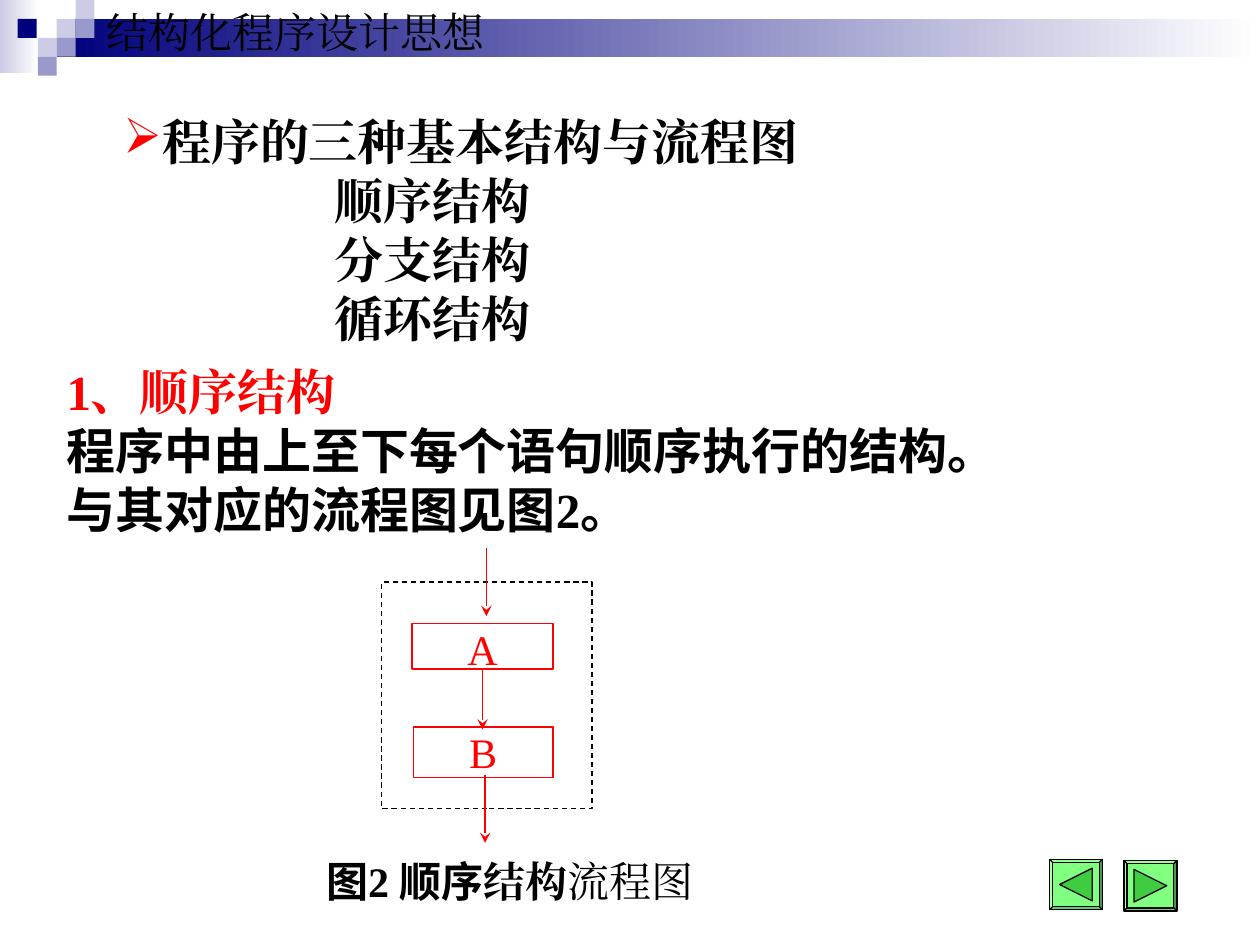
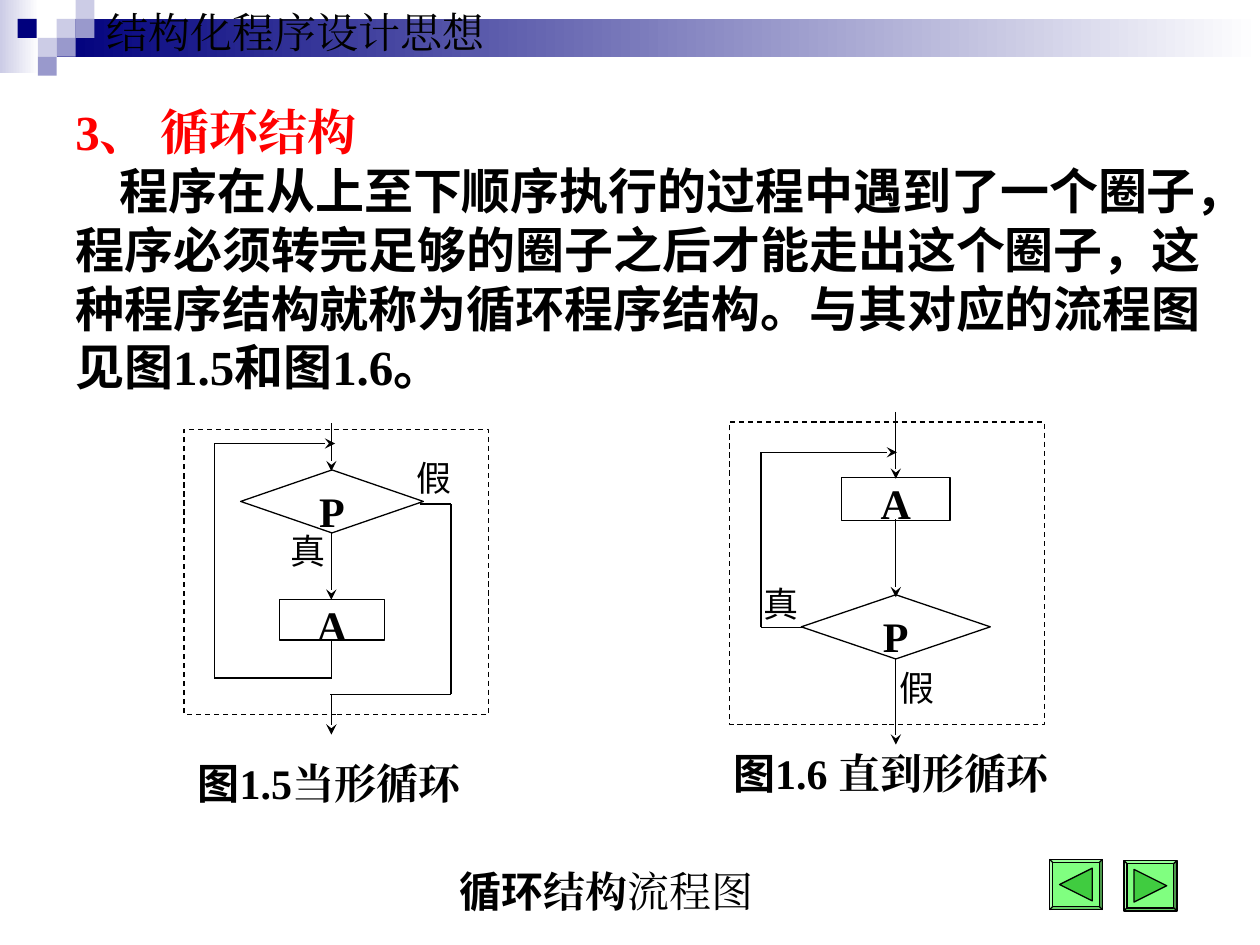
from lxml import etree
from pptx import Presentation
from pptx import util as u
from pptx.dml import color as dml
from pptx.enum import dml as dash, shapes, text
from pptx.oxml import ns

COLORS = {
    "black": "000000", "white": "FFFFFF", "red": "FF0000", "navy": "00007D",
    "lilac": "CCCCE6", "violet": "9999CC", "button": "80FF80", "triangle": "40CC40",
}
RGB = {name: dml.RGBColor.from_string(value) for name, value in COLORS.items()}
TIMES, NOTO = "Times New Roman", "Noto Sans CJK SC"
LINE_HEIGHT = 1.2
PRESET = shapes.MSO_SHAPE


def add_shape(slide, kind, box, fill, line=None):
    shape = slide.shapes.add_shape(kind, *map(u.Inches, box))
    shape.shadow.inherit = False
    if isinstance(fill, tuple):
        shape.fill.gradient()
        shape.fill.gradient_angle = 0
        for stop, name in zip(shape.fill.gradient_stops, fill):
            stop.color.rgb = RGB[name]
    else:
        shape.fill.solid()
        shape.fill.fore_color.rgb = RGB[fill]
    if line:
        shape.line.color.rgb = RGB[line]
        shape.line.width = u.Pt(0.75)
    else:
        shape.line.fill.background()
    return shape


def write(shape, paragraphs, size, inset=(0.1, 0.05), align=None):
    frame = shape.text_frame
    frame.word_wrap = True
    frame.vertical_anchor = text.MSO_ANCHOR.TOP
    frame.margin_left = frame.margin_right = u.Inches(inset[0])
    frame.margin_top = frame.margin_bottom = u.Inches(inset[1])
    for index, (color, bold, margin, indent, bullet, runs) in enumerate(paragraphs):
        paragraph = frame.add_paragraph() if index else frame.paragraphs[0]
        properties = paragraph._p.get_or_add_pPr()
        properties.set("marL", str(u.Inches(margin)))
        properties.set("indent", str(u.Inches(indent)))
        if bullet:
            bullet_color = etree.SubElement(properties, ns.qn("a:buClr"))
            etree.SubElement(bullet_color, ns.qn("a:srgbClr"), val=COLORS["red"])
            etree.SubElement(properties, ns.qn("a:buChar"), char=bullet)
        paragraph.line_spacing = u.Pt(size * LINE_HEIGHT)
        paragraph.alignment = align
        for words, font_name, *weight in runs:
            run = paragraph.add_run()
            run.text = words
            run.font.size = u.Pt(size)
            run.font.bold = weight[0] if weight else bold
            run.font.color.rgb = RGB[color]
            run.font.name = font_name
            etree.SubElement(run._r.get_or_add_rPr(), ns.qn("a:ea"), typeface=font_name)


def_plain = ("black", False, 0, 0, None)
def_bold = ("black", True, 0, 0, None)
red_heading = ("red", True, 0, 0, None)

SQUARE = 0.15
SQUARES = [
    (0.45, 0.15, "lilac"), (0.6, 0, "lilac"), (0.6, 0.15, "violet"), (0.3, 0.3, "lilac"),
    (0.14, 0.15, "navy"), (0.45, 0.3, "violet"), (0.3, 0.45, "violet"),
]
BUTTONS = [(8.92, 6.83, 90), (8.33, 6.82, 270)]

SEQUENCE = {
    "color": "red",
    "bold": False,
    "frames": [(3.03, 4.62, 1.67, 1.8)],
    "nodes": [
        ("A", PRESET.RECTANGLE, (3.27, 4.95, 1.12, 0.36)),
        ("B", PRESET.RECTANGLE, (3.28, 5.77, 1.11, 0.4)),
    ],
    "arrows": [(3.86, 4.35, 3.86, 4.89), (3.83, 5.31, 3.83, 5.79), (3.85, 6.15, 3.85, 6.69)],
    "lines": [],
    "texts": [
        ((0.59, 0.84, 7.95, 1.97), 28, [
            ("black", True, 0.59, -0.3, "➢", [("程序的三种基本结构与流程图", TIMES)]),
            *[("black", True, 1.97, 0, None, [(name, TIMES)])
              for name in ("顺序结构", "分支结构", "循环结构")],
        ]),
        ((0.43, 2.82, 9.5, 1.5), 28, [
            (*red_heading, [("1、顺序结构", TIMES)]),
            (*def_bold, [("程序中由上至下每个语句顺序执行的结构。", NOTO)]),
            (*def_bold, [("与其对应的流程图见图", NOTO), ("2", TIMES), ("。", NOTO)]),
        ]),
        ((2.49, 6.74, 3.6, 0.5), 24, [
            (*def_bold, [("图", NOTO), ("2 ", TIMES), ("顺序", NOTO), ("结构", TIMES),
                         ("流程图", TIMES, False)]),
        ]),
    ],
}

LOOPS = {
    "color": "black",
    "bold": True,
    "frames": [(1.46, 3.41, 2.42, 2.26), (5.79, 3.35, 2.5, 2.4)],
    "nodes": [
        ("P", PRESET.FLOWCHART_DECISION, (1.91, 3.73, 1.45, 0.5)),
        ("A", PRESET.RECTANGLE, (2.22, 4.76, 0.83, 0.32)),
        ("A", PRESET.RECTANGLE, (6.68, 3.79, 0.86, 0.34)),
        ("P", PRESET.FLOWCHART_DECISION, (6.36, 4.72, 1.5, 0.51)),
    ],
    "arrows": [
        (2.63, 3.36, 2.63, 3.74), (2.63, 4.23, 2.63, 4.76), (1.7, 3.52, 2.66, 3.52),
        (2.63, 5.51, 2.63, 5.83), (7.11, 3.27, 7.11, 3.8), (7.11, 4.12, 7.11, 4.74),
        (7.11, 5.23, 7.11, 5.91), (6.04, 3.59, 7.12, 3.59),
    ],
    "lines": [
        (2.63, 5.07, 2.63, 5.39), (2.63, 5.38, 1.7, 5.38), (1.7, 5.38, 1.7, 3.52),
        (3.33, 4, 3.58, 4), (3.58, 4, 3.58, 5.51), (3.58, 5.51, 2.62, 5.51),
        (6.38, 4.98, 6.04, 4.98), (6.04, 4.98, 6.04, 3.59),
    ],
    "texts": [
        ((0.5, 0.76, 9.5, 2.44), 28, [
            (*red_heading, [("3、 循环结构", TIMES)]),
            ("black", True, 0, 0.35, None, [
                ("程序在从上至下顺序执行的过程中遇到了一个圈子，程序必须转完足够的圈子之后"
                 "才能走出这个圈子，这种程序结构就称为循环程序结构。与其对应的流程图见图", NOTO),
                ("1.5", TIMES), ("和图", NOTO), ("1.6", TIMES), ("。", NOTO),
            ]),
        ]),
        *[((left, top, 0.58, 0.44), 20, [(*def_plain, [(answer, NOTO)])])
          for left, top, answer in [(3.21, 3.57, "假"), (7.04, 5.24, "假"),
                                    (2.21, 4.15, "真"), (5.96, 4.57, "真")]],
        *[((left, top, 3.1, 0.5), 24, [(*def_bold, [("图", NOTO), (caption, TIMES)])])
          for left, top, caption in [(1.47, 5.96, "1.5当形循环"),
                                     (5.72, 5.88, "1.6 直到形循环")]],
        ((3.55, 6.82, 2.8, 0.5), 24, [
            (*def_bold, [("循环", NOTO), ("结构", TIMES), ("流程图", TIMES, False)]),
        ]),
    ],
}

presentation = Presentation()
presentation.slide_width = u.Inches(10)
presentation.slide_height = u.Inches(7.5)
title = ((0.75, 0, 3.5, 0.5), 24, [(*def_plain, [("结构化程序设计思想", TIMES)])])

for content in (SEQUENCE, LOOPS):
    slide = presentation.slides.add_slide(presentation.slide_layouts[6])
    add_shape(slide, PRESET.RECTANGLE, (0, 0, 0.31, 0.58), ("lilac", "white"))
    add_shape(slide, PRESET.RECTANGLE, (0.45, 0.15, 9.55, 0.3), ("navy", "white"))
    for left, top, fill in SQUARES:
        add_shape(slide, PRESET.RECTANGLE, (left, top, SQUARE, SQUARE), fill)

    for left, top, rotation in BUTTONS:
        button = add_shape(slide, PRESET.BEVEL, (left, top, 0.42, 0.4), "button", "black")
        button.adjustments[0] = 0.06
        triangle = add_shape(slide, PRESET.ISOSCELES_TRIANGLE,
                             (left + 0.08, top + 0.07, 0.26, 0.26), "triangle", "black")
        triangle.rotation = rotation

    for box in content["frames"]:
        frame = add_shape(slide, PRESET.RECTANGLE, box, "white", "black")
        frame.line.dash_style = dash.MSO_LINE.DASH

    for label, kind, box in content["nodes"]:
        node = add_shape(slide, kind, box, "white", content["color"])
        letter = (content["color"], content["bold"], 0, 0, None, [(label, TIMES)])
        write(node, [letter], 24, (0, 0), text.PP_ALIGN.CENTER)

    for group in ("arrows", "lines"):
        for ends in content[group]:
            connector = slide.shapes.add_connector(shapes.MSO_CONNECTOR.STRAIGHT,
                                                   *map(u.Inches, ends))
            connector.line.color.rgb = RGB[content["color"]]
            connector.line.width = u.Pt(0.75)
            if group == "arrows":
                etree.SubElement(connector.line._get_or_add_ln(), ns.qn("a:tailEnd"),
                                 type="stealth")
            etree.SubElement(connector._element.spPr, ns.qn("a:effectLst"))

    for box, size, paragraphs in [title, *content["texts"]]:
        write(slide.shapes.add_textbox(*map(u.Inches, box)), paragraphs, size)

presentation.save("out.pptx")
